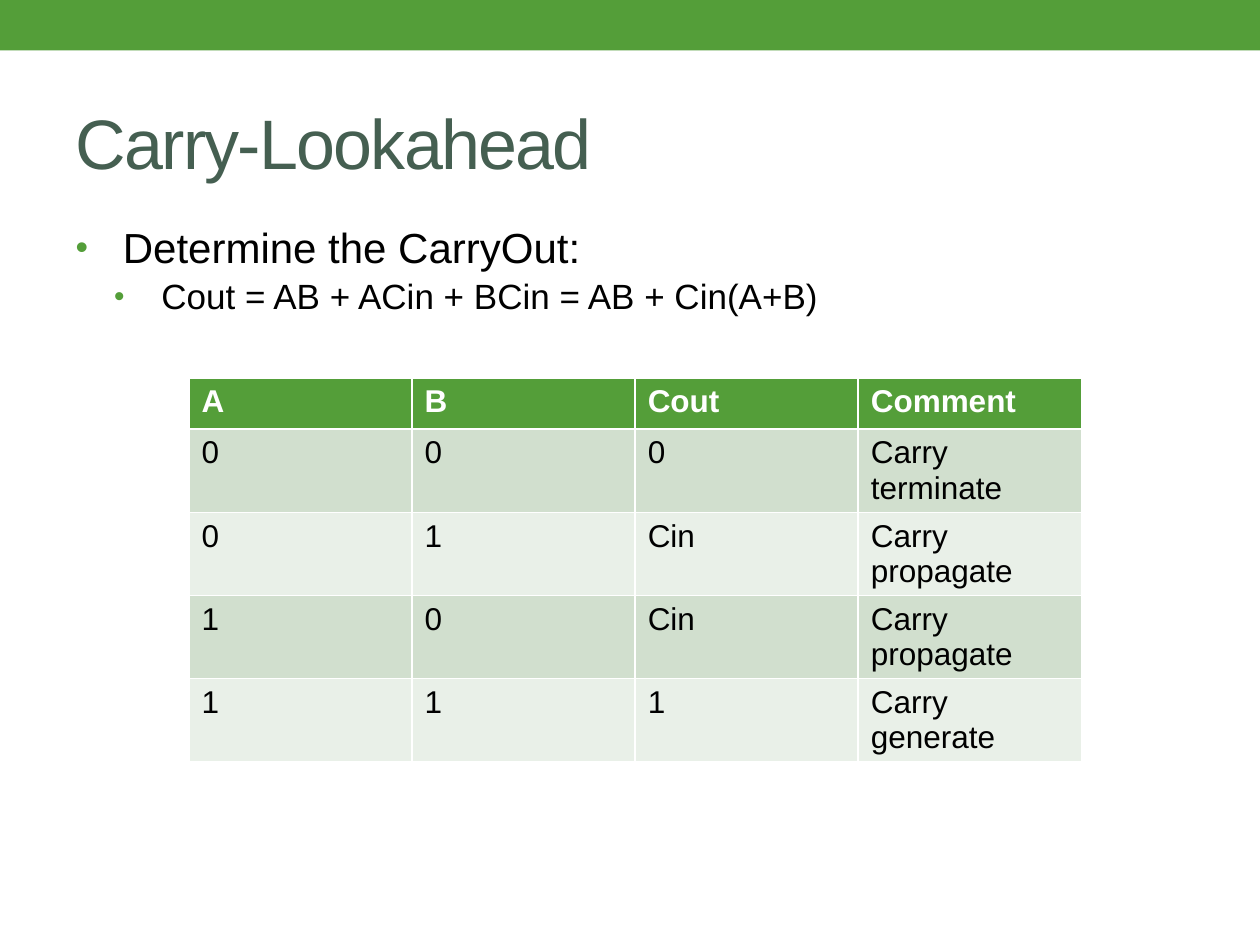
from lxml import etree
from pptx import Presentation
from pptx.dml.color import RGBColor
from pptx.enum.shapes import MSO_SHAPE
from pptx.enum.text import MSO_ANCHOR, PP_ALIGN
from pptx.oxml.ns import qn
from pptx.util import Pt

RECTANGLE = MSO_SHAPE.RECTANGLE
MIDDLE = MSO_ANCHOR.MIDDLE
LEFT = PP_ALIGN.LEFT

GREEN = RGBColor(0x54, 0x9E, 0x39)
SLATE = RGBColor(0x45, 0x5F, 0x51)
BLACK = RGBColor(0x00, 0x00, 0x00)
WHITE = RGBColor(0xFF, 0xFF, 0xFF)
BANDS = (RGBColor(0xD1, 0xDF, 0xCE), RGBColor(0xE9, 0xF0, 0xE8))

FONT = "Arial"
HANGING = 27

# Text, level, left indent, font size
BULLETS = [
    ("Determine the CarryOut:", 0, 27, 24),
    ("Cout = AB + ACin + BCin = AB + Cin(A+B)", 1, 49, 20),
]
CARRY_TABLE = [
    ("A", "B", "Cout", "Comment"),
    ("0", "0", "0", "Carry terminate"),
    ("0", "1", "Cin", "Carry propagate"),
    ("1", "0", "Cin", "Carry propagate"),
    ("1", "1", "1", "Carry generate"),
]


def place(shape, left, top, width, height):
    shape.left, shape.top = Pt(left), Pt(top)
    shape.width, shape.height = Pt(width), Pt(height)


def set_font(paragraph, size, color, bold=False):
    font = paragraph.font
    font.name = FONT
    font.size = Pt(size)
    font.bold = bold
    font.color.rgb = color


def set_bullet(paragraph, left):
    """Give the paragraph a green hanging bullet."""
    properties = paragraph._p.get_or_add_pPr()
    properties.set("marL", str(Pt(left)))
    properties.set("indent", str(Pt(-HANGING)))
    color = etree.SubElement(properties, qn("a:buClr"))
    etree.SubElement(color, qn("a:srgbClr"), val=str(GREEN))
    etree.SubElement(properties, qn("a:buSzPct"), val="85000")
    etree.SubElement(properties, qn("a:buFont"), typeface=FONT)
    etree.SubElement(properties, qn("a:buChar"), char="•")


def add_top_band(slide, width):
    band = slide.shapes.add_shape(RECTANGLE, 0, 0, width, Pt(28.8))
    band.shadow.inherit = False
    band.fill.solid()
    band.fill.fore_color.rgb = GREEN
    band.line.fill.background()


def fill_title(title, text):
    place(title, 36, 42, 648, 78)
    title.text_frame.text = text
    title.text_frame.vertical_anchor = MIDDLE
    paragraph = title.text_frame.paragraphs[0]
    paragraph.alignment = LEFT
    set_font(paragraph, 40, SLATE)
    paragraph.runs[0]._r.get_or_add_rPr().set("spc", "-100")


def fill_body(body):
    place(body, 36, 126, 648, 384)
    frame = body.text_frame
    for index, (text, level, left, size) in enumerate(BULLETS):
        paragraph = frame.add_paragraph() if index else frame.paragraphs[0]
        paragraph.text = text
        paragraph.level = level
        set_bullet(paragraph, left)
        paragraph.line_spacing = 0.9
        paragraph.space_before = Pt(0.2 * size if index else 0)
        set_font(paragraph, size, BLACK)


def add_carry_table(slide):
    row_height = 29.2
    row_count, column_count = len(CARRY_TABLE), len(CARRY_TABLE[0])
    table = slide.shapes.add_table(
        row_count, column_count, Pt(108), Pt(216), Pt(510), Pt(row_height * row_count)
    ).table
    for row_index, row in enumerate(CARRY_TABLE):
        is_header = row_index == 0
        for column_index, text in enumerate(row):
            cell = table.cell(row_index, column_index)
            cell.text = text
            cell.fill.solid()
            cell.fill.fore_color.rgb = GREEN if is_header else BANDS[(row_index - 1) % 2]
            set_font(cell.text_frame.paragraphs[0], 18,
                     WHITE if is_header else BLACK, bold=is_header)


def main():
    presentation = Presentation()
    presentation.slide_width, presentation.slide_height = Pt(720), Pt(540)
    slide = presentation.slides.add_slide(presentation.slide_layouts[1])
    add_top_band(slide, presentation.slide_width)
    fill_title(slide.shapes.title, "Carry-Lookahead")
    fill_body(slide.placeholders[1])
    add_carry_table(slide)
    presentation.save("out.pptx")


if __name__ == "__main__":
    main()
